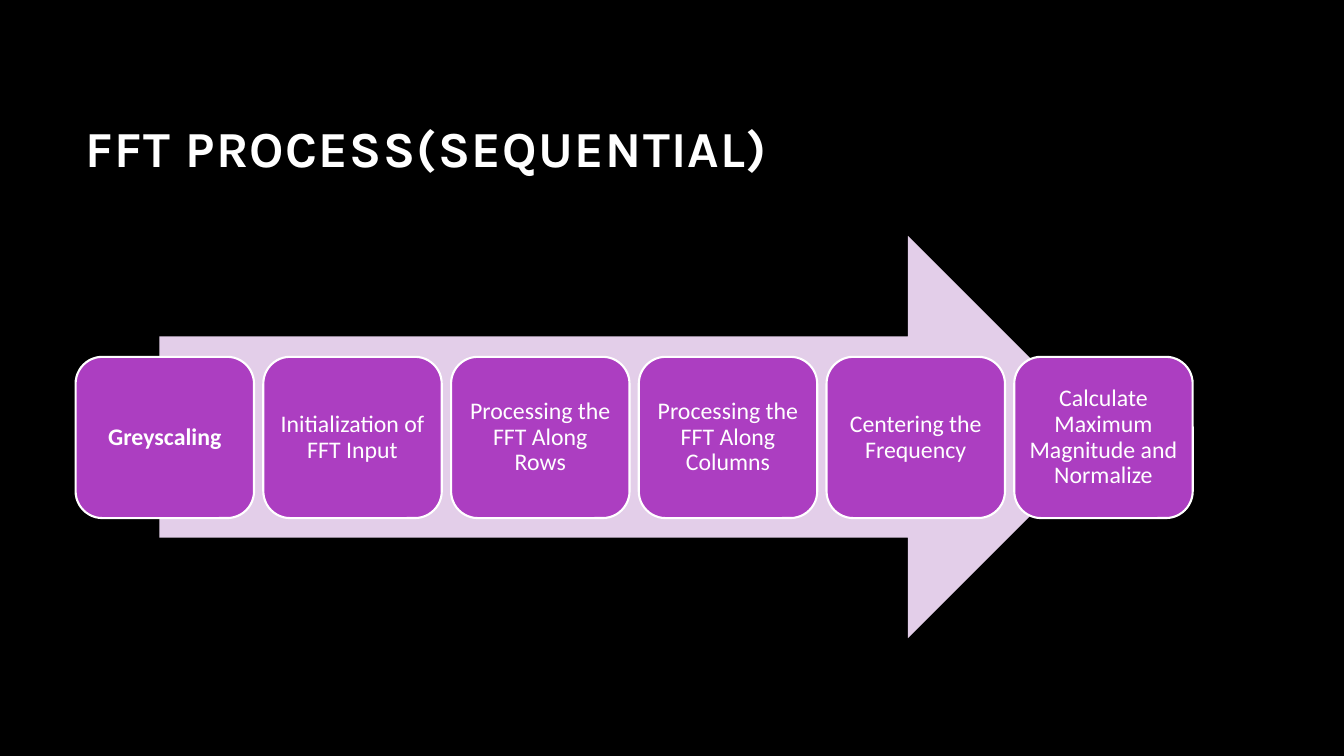
"""Build the sequential FFT process slide."""
from pptx import Presentation
from pptx.dml.color import RGBColor
from pptx.enum.shapes import MSO_SHAPE
from pptx.enum.text import MSO_ANCHOR, PP_ALIGN
from pptx.util import Inches, Pt

TITLE = "FFT PROCESS(SEQUENTIAL)"
STEPS = [
    "Greyscaling",
    "Initialization of FFT Input",
    "Processing the FFT Along Rows",
    "Processing the FFT Along Columns",
    "Centering the Frequency",
    "Calculate Maximum Magnitude and Normalize",
]
BOLD_STEPS = {"Greyscaling"}
LEFT, WIDTH = 0.75, 11.08
STEP_TOP, STEP_WIDTH, STEP_HEIGHT = 3.54, 1.77, 1.6
STEP_PITCH = (WIDTH - STEP_WIDTH) / (len(STEPS) - 1)


def paint(fill, color):
    fill.solid()
    fill.fore_color.rgb = RGBColor.from_string(color)


def write(shape, text, font, size, bold, margin_x, margin_y):
    frame = shape.text_frame
    frame.word_wrap = True
    frame.vertical_anchor = MSO_ANCHOR.MIDDLE
    frame.margin_left = frame.margin_right = Inches(margin_x)
    frame.margin_top = frame.margin_bottom = Inches(margin_y)
    frame.text = text
    para = frame.paragraphs[0]
    span = para.runs[0]
    span.font.name, span.font.size, span.font.bold = font, Pt(size), bold
    paint(span.font.fill, "FFFFFF")
    return para


def add_panel(page, kind, left, top, width, height, color):
    panel = page.shapes.add_shape(
        kind, Inches(left), Inches(top), Inches(width), Inches(height))
    panel.shadow.inherit = False
    paint(panel.fill, color)
    panel.line.fill.background()
    return panel


def main():
    deck = Presentation()
    deck.slide_width, deck.slide_height = Inches(13.33), Inches(7.5)
    page = deck.slides.add_slide(deck.slide_layouts[6])
    paint(page.background.fill, "000000")

    title = page.shapes.add_textbox(
        Inches(LEFT), Inches(0.67), Inches(WIDTH), Inches(1.59))
    heading = write(title, TITLE, "Karla", 36, True, 0.1, 0.05)
    heading.runs[0].font._element.set("spc", "100")

    add_panel(page, MSO_SHAPE.RIGHT_ARROW, 1.58, 2.34, 9.42, 3.99, "E3CEE9")
    for index, step in enumerate(STEPS):
        card = add_panel(page, MSO_SHAPE.ROUNDED_RECTANGLE,
                         LEFT + index * STEP_PITCH, STEP_TOP,
                         STEP_WIDTH, STEP_HEIGHT, "AC3EC1")
        paint(card.line.fill, "FFFFFF")
        card.line.width = Pt(1.5)
        para = write(card, step, "Calibri", 17, step in BOLD_STEPS, 0.07, 0.07)
        para.alignment = PP_ALIGN.CENTER
        para.line_spacing = 0.9

    deck.save("out.pptx")


if __name__ == "__main__":
    main()
